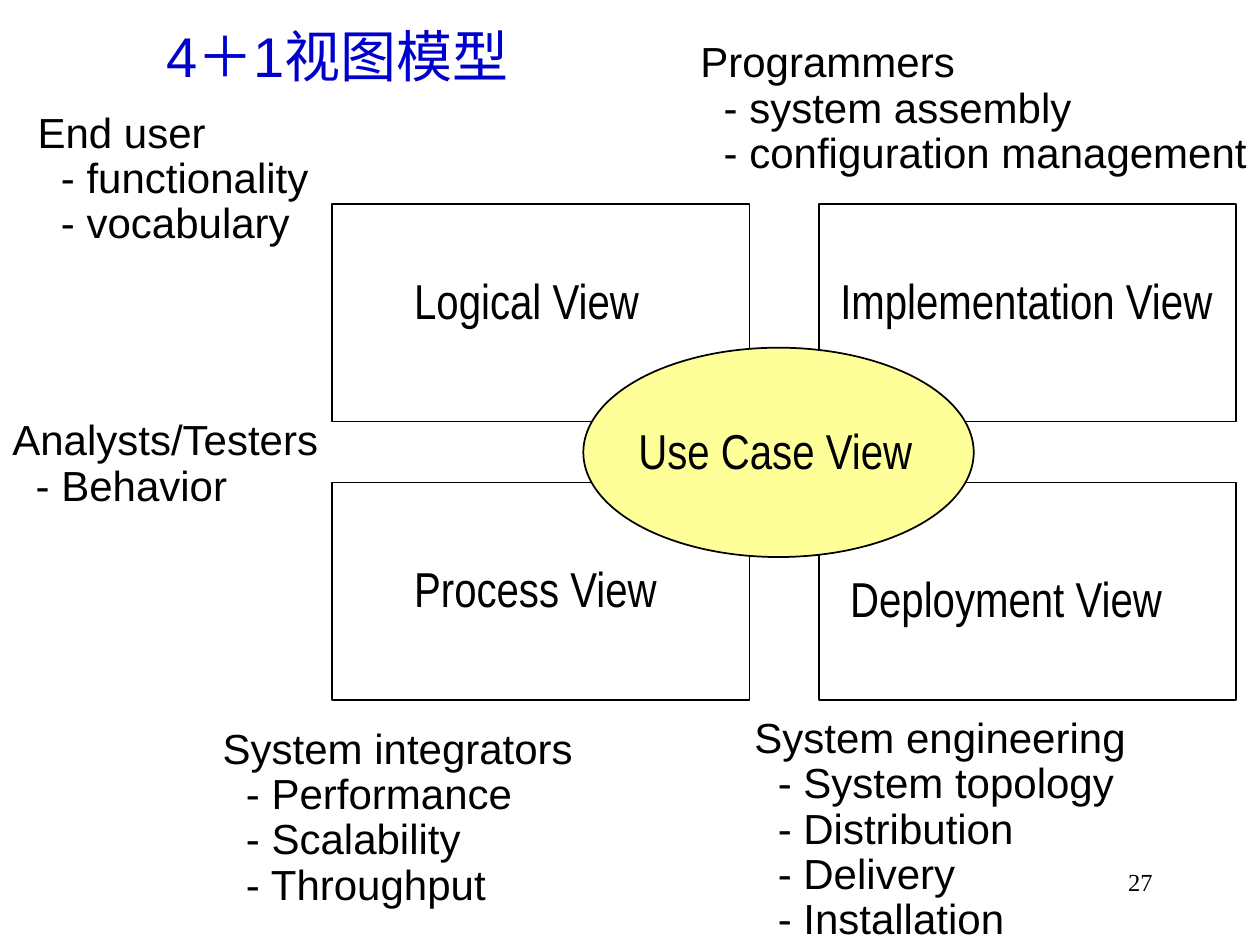
from dataclasses import dataclass

import pptx
import pptx.dml.color
import pptx.enum.shapes
import pptx.enum.text
import pptx.util

Cm = pptx.util.Cm
Pt = pptx.util.Pt
RGB = pptx.dml.color.RGBColor.from_string
SHAPE = pptx.enum.shapes.MSO_SHAPE
ALIGN = pptx.enum.text.PP_ALIGN
AUTO = pptx.enum.text.MSO_AUTO_SIZE


@dataclass(frozen=True)
class Theme:
    ink: str = "000000"
    paper: str = "FFFFFF"
    title: str = "0000CD"
    use_case: str = "FFFF99"
    line: float = 1
    title_font: tuple = ("Arial", 32)
    role_font: tuple = ("Arial", 24)
    view_font: tuple = ("Arial Narrow", 28)
    number_font: tuple = ("Times New Roman", 14)


THEME = Theme()

COLUMNS = (6.7, 16.51)
ROWS = (4.11, 9.73)
BOX_SIZE = (8.41, 4.39)
LABEL_HEIGHT = 1.45

# left, top, width, text, fill
VIEWS = [
    (8.1, 5.33, 5.33, "Logical View", THEME.paper),
    (16.69, 5.33, 8.26, "Implementation View", None),
    (8.1, 11.13, 5.51, "Process View", THEME.paper),
    (16.89, 11.33, 7.44, "Deployment View", THEME.paper),
]

# left, top, width, role, concerns
ROLES = [
    (0.51, 2.13, 5.97, "End user", ["functionality", "vocabulary"]),
    (13.87, 0.71, 11.51, "Programmers",
     ["system assembly", "configuration management"]),
    (0, 8.33, 6.76, "Analysts/Testers", ["Behavior"]),
    (4.24, 14.55, 7.57, "System integrators",
     ["Performance", "Scalability", "Throughput"]),
    (14.96, 14.33, 7.98, "System engineering",
     ["System topology", "Distribution", "Delivery", "Installation"]),
]


def set_all(target, values):
    for name, value in values.items():
        setattr(target, name, value)


def add_outlined(s, kind, box, fill):
    sp = s.shapes.add_shape(kind, *map(Cm, box))
    sp.shadow.inherit = False
    sp.fill.solid()
    sp.fill.fore_color.rgb = RGB(fill)
    sp.line.color.rgb = RGB(THEME.ink)
    sp.line.width = Pt(THEME.line)


def add_text(s, box, lines, font, color=THEME.ink, fill=None, wrap=True,
             grow=True, paragraph=None):
    sp = s.shapes.add_textbox(*map(Cm, box))
    if fill:
        sp.fill.solid()
        sp.fill.fore_color.rgb = RGB(fill)
    tf = sp.text_frame
    set_all(tf, {
        "word_wrap": wrap,
        "auto_size": AUTO.SHAPE_TO_FIT_TEXT if grow else AUTO.NONE,
    })
    name, size = font
    for i, line in enumerate(lines):
        p = tf.paragraphs[0] if i == 0 else tf.add_paragraph()
        set_all(p, paragraph or {})
        r = p.add_run()
        r.text = line
        set_all(r.font, {"name": name, "size": Pt(size)})
        r.font.color.rgb = RGB(color)
    return tf


def add_role(s, left, top, width, role, concerns):
    """Name a stakeholder, with the concerns indented below."""
    lines = [role] + [f"- {concern}" for concern in concerns]
    height = 0.25 + 0.92 * len(lines)
    tf = add_text(s, (left, top, width, height), lines, THEME.role_font,
                  paragraph={"line_spacing": 0.9})
    tf.margin_right = 0  # room for the longest line
    for p in tf.paragraphs[1:]:
        pPr = p._p.get_or_add_pPr()
        pPr.set("marL", str(Cm(0.47)))
        pPr.set("indent", "0")


def add_view_label(s, left, top, width, text, fill=None):
    add_text(s, (left, top, width, LABEL_HEIGHT), [text], THEME.view_font,
             fill=fill)


def main():
    prs = pptx.Presentation()
    set_all(prs, {"slide_width": Cm(25.4), "slide_height": Cm(19.05)})
    s = prs.slides.add_slide(prs.slide_layouts[6])

    for top in ROWS:
        for left in COLUMNS:
            add_outlined(s, SHAPE.RECTANGLE, (left, top, *BOX_SIZE), THEME.paper)
    for role in ROLES:
        add_role(s, *role)
    for view in VIEWS:
        add_view_label(s, *view)

    add_outlined(s, SHAPE.OVAL, (11.76, 7.01, 7.87, 4.22), THEME.use_case)
    add_view_label(s, 12.62, 8.36, 6.53, "Use Case View")

    add_text(s, (3.1, 0.3, 8.23, 1.63), ["4＋1视图模型"], THEME.title_font,
             color=THEME.title, wrap=False)
    add_text(s, (18.21, 17.35, 5.28, 1.27), ["27"], THEME.number_font,
             grow=False, paragraph={"alignment": ALIGN.RIGHT})
    prs.save("out.pptx")


if __name__ == "__main__":
    main()
